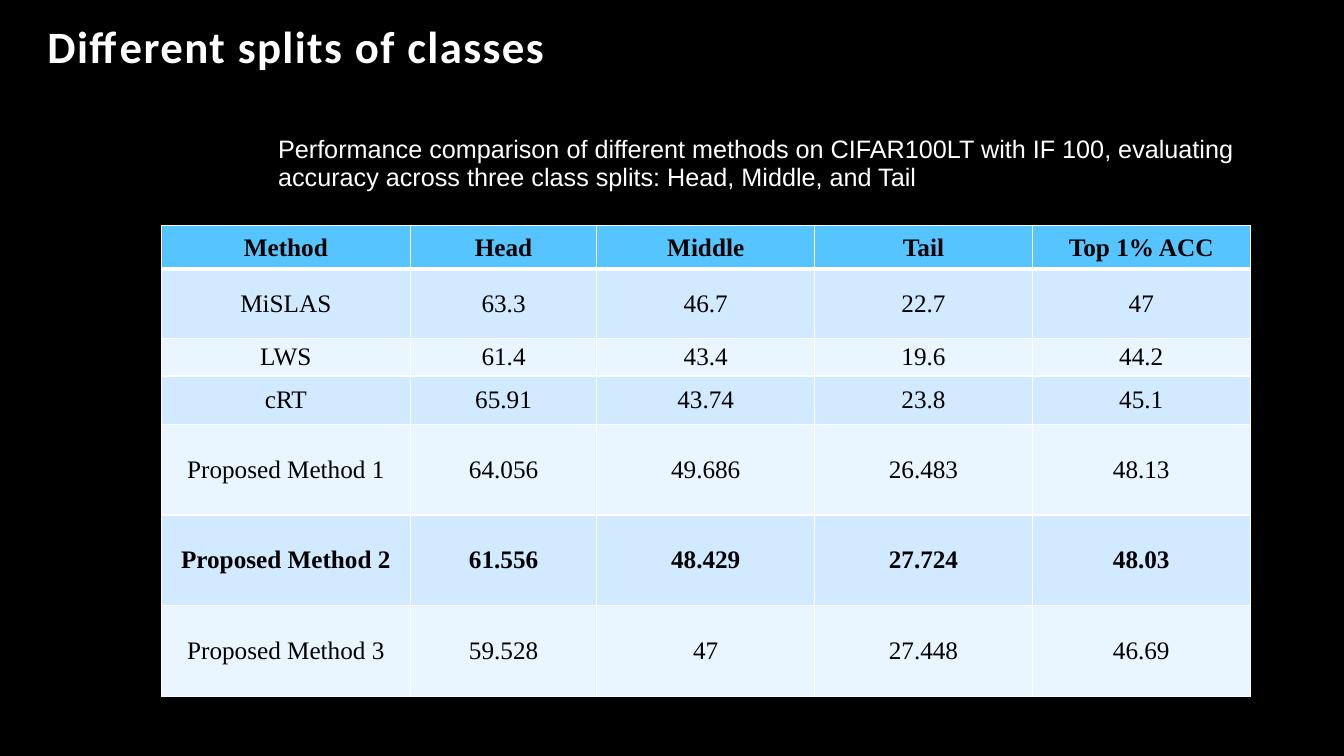
from lxml import etree
from pptx import Presentation
from pptx.dml.color import RGBColor
from pptx.enum import text as t
from pptx.oxml import ns
from pptx.util import Inches, Pt

HEADING = "Different splits of classes"
CAPTION = (
    "Performance comparison of different methods on CIFAR100LT with IF 100, "
    "evaluating accuracy across three class splits: Head, Middle, and Tail"
)
RESULTS = [
    ("Method", "Head", "Middle", "Tail", "Top 1% ACC"),
    ("MiSLAS", "63.3", "46.7", "22.7", "47"),
    ("LWS", "61.4", "43.4", "19.6", "44.2"),
    ("cRT", "65.91", "43.74", "23.8", "45.1"),
    ("Proposed Method 1", "64.056", "49.686", "26.483", "48.13"),
    ("Proposed Method 2", "61.556", "48.429", "27.724", "48.03"),
    ("Proposed Method 3", "59.528", "47", "27.448", "46.69"),
]
BOLD_ROWS = (0, 5)
COLUMN_WIDTHS = (2.47, 1.85, 2.16, 2.16, 2.16)
ROW_HEIGHTS = (0.43, 0.69, 0.37, 0.48, 0.9, 0.9, 0.9)

BLACK = RGBColor(0x00, 0x00, 0x00)
WHITE = RGBColor(0xFF, 0xFF, 0xFF)
HEADER_BLUE = RGBColor(0x56, 0xC5, 0xFF)
BANDS = (RGBColor(0xE9, 0xF5, 0xFF), RGBColor(0xD1, 0xEA, 0xFF))


def style_paragraph(paragraph, font_name, size, color, bold=False):
    for run in paragraph.runs:
        run.font.name = font_name
        run.font.size = Pt(size)
        run.font.color.rgb = color
        run.font.bold = bold


def add_border(cell, side, width):
    properties = cell._tc.get_or_add_tcPr()
    line = etree.SubElement(properties, ns.qn(f"a:ln{side}"), w=str(Pt(width)))
    fill = etree.SubElement(line, ns.qn("a:solidFill"))
    etree.SubElement(fill, ns.qn("a:srgbClr"), val=str(WHITE))


def style_cell(cell, row):
    for side in "LRTB":
        under_header = (row, side) in ((0, "B"), (1, "T"))
        add_border(cell, side, 3 if under_header else 1)
    cell.fill.solid()
    cell.fill.fore_color.rgb = BANDS[row % 2] if row else HEADER_BLUE
    cell.margin_left = cell.margin_right = Inches(0.01)
    cell.margin_top = Inches(0.03 if row else 0.01)
    cell.margin_bottom = Inches(0.03 if row else 0)
    cell.vertical_anchor = t.MSO_ANCHOR.MIDDLE
    paragraph = cell.text_frame.paragraphs[0]
    paragraph.alignment = t.PP_ALIGN.CENTER
    style_paragraph(paragraph, "Times New Roman", 18, BLACK, row in BOLD_ROWS)


def add_heading(slide):
    heading = slide.shapes.title
    heading.left, heading.top = Inches(0.37), Inches(0.13)
    heading.width, heading.height = Inches(5.61), Inches(0.65)
    frame = heading.text_frame
    frame.text = HEADING
    frame.auto_size = t.MSO_AUTO_SIZE.NONE
    frame.vertical_anchor = t.MSO_ANCHOR.BOTTOM
    paragraph = frame.paragraphs[0]
    paragraph.alignment = t.PP_ALIGN.LEFT
    paragraph.line_spacing = 0.9
    style_paragraph(paragraph, "Calibri", 32, WHITE, True)
    paragraph.runs[0].font._element.set("spc", "100")


def add_caption(slide):
    caption = slide.shapes.add_textbox(Inches(2.66), Inches(1.31), Inches(9.87), Inches(0.65))
    frame = caption.text_frame
    frame.word_wrap = True
    frame.text = CAPTION
    frame.paragraphs[0].line_spacing = 0.9
    style_paragraph(frame.paragraphs[0], "Arial", 18, WHITE)


def add_results(slide):
    table = slide.shapes.add_table(
        len(RESULTS), len(COLUMN_WIDTHS), Inches(1.6), Inches(2.24),
        Inches(sum(COLUMN_WIDTHS)), Inches(sum(ROW_HEIGHTS)),
    ).table
    for column, width in zip(table.columns, COLUMN_WIDTHS):
        column.width = Inches(width)
    for row, (values, height) in enumerate(zip(RESULTS, ROW_HEIGHTS)):
        table.rows[row].height = Inches(height)
        for column, value in enumerate(values):
            cell = table.cell(row, column)
            cell.text_frame.text = value
            style_cell(cell, row)


def main():
    deck = Presentation()
    deck.slide_width, deck.slide_height = Inches(13.33), Inches(7.5)
    slide = deck.slides.add_slide(deck.slide_layouts[5])
    slide.background.fill.solid()
    slide.background.fill.fore_color.rgb = BLACK
    add_results(slide)
    add_heading(slide)
    add_caption(slide)
    deck.save("out.pptx")


if __name__ == "__main__":
    main()
